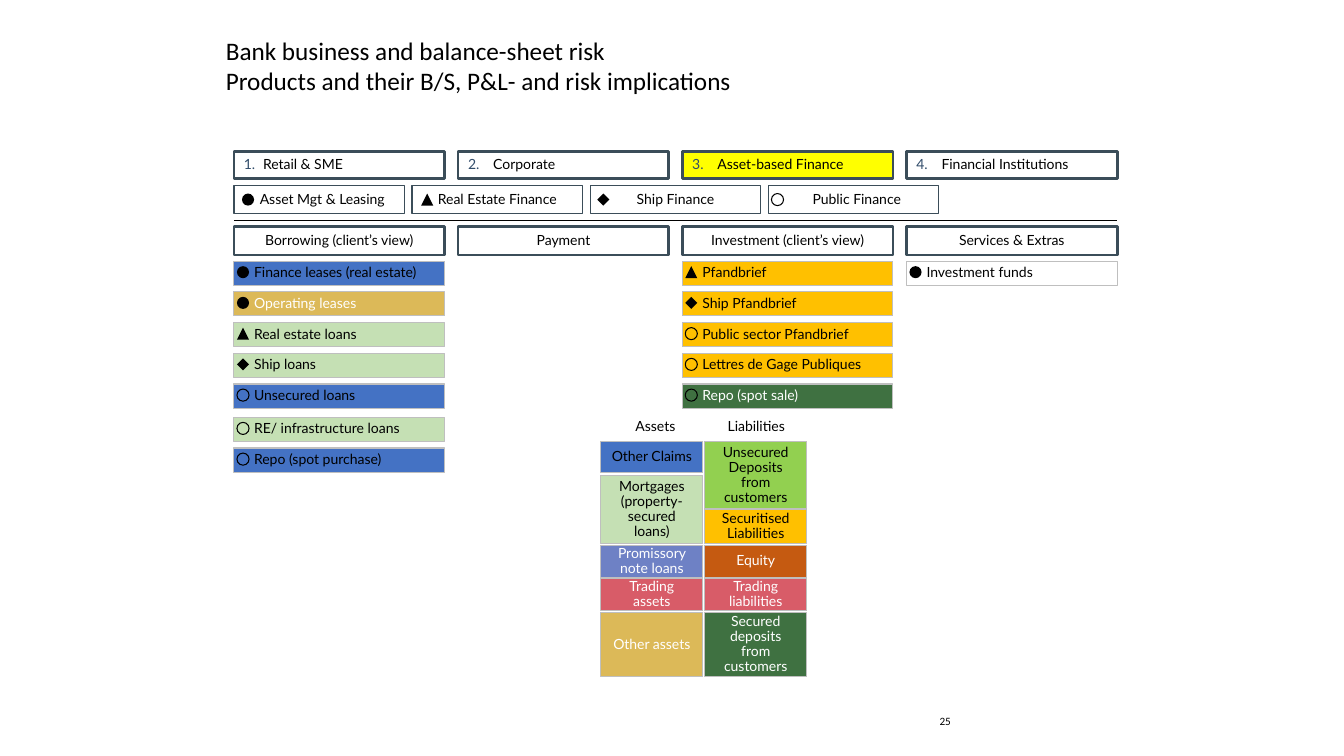
from dataclasses import dataclass

import pptx
import pptx.dml.color
import pptx.enum.shapes
import pptx.enum.text
import pptx.util
from pptx.util import Inches
from lxml import etree

SHAPE = pptx.enum.shapes.MSO_SHAPE
ALIGN = pptx.enum.text.PP_ALIGN
ANCHOR = pptx.enum.text.MSO_ANCHOR
A = "{http://schemas.openxmlformats.org/drawingml/2006/main}"


@dataclass(frozen=True)
class Theme:
    title_font: str = "Calibri"
    font: str = "Lato"
    title_size: int = 18
    size: int = 10
    number_size: int = 8
    black: str = "000000"
    white: str = "FFFFFF"
    frame: str = "3B4D59"
    edge: str = "BFBFBF"
    numeral: str = "314C6A"
    active: str = "FFFF00"
    claims: str = "4472C4"
    mortgages: str = "C5E0B4"
    other: str = "DCB958"
    securitised: str = "FFC000"
    secured: str = "3F7141"
    unsecured: str = "92D050"
    equity: str = "C55A11"
    notes: str = "6E81C5"
    trading: str = "D85C68"


T = Theme()
LEFT, COL_W, COL_STEP = 2.32, 2.09, 2.2233
COLS = [LEFT + i * COL_STEP for i in range(4)]
WHITE_TEXT_ON = {T.other, T.secured, T.equity, T.notes, T.trading}
MARKS = {"circle": (SHAPE.OVAL, True), "ring": (SHAPE.OVAL, False),
         "triangle": (SHAPE.ISOSCELES_TRIANGLE, True), "diamond": (SHAPE.DIAMOND, True)}


def rgb(value):
    return pptx.dml.color.RGBColor.from_string(value)


def style_runs(tf, font, size, color):
    for p in tf.paragraphs:
        for r in p.runs:
            r.font.name = font
            r.font.size = pptx.util.Pt(size)
            r.font.color.rgb = rgb(color)


def add_box(s, kind, box, fill=None, line=None, width=0.75):
    sp = s.shapes.add_shape(kind, *map(Inches, box))
    sp.shadow.inherit = False
    if fill:
        sp.fill.solid()
        sp.fill.fore_color.rgb = rgb(fill)
    else:
        sp.fill.background()
    if line:
        sp.line.color.rgb = rgb(line)
        sp.line.width = pptx.util.Pt(width)
    else:
        sp.line.fill.background()
    return sp


def add_label(sp, text, insets, align):
    tf = sp.text_frame
    tf.word_wrap = True
    tf.vertical_anchor = ANCHOR.MIDDLE
    (tf.margin_left, tf.margin_top,
     tf.margin_right, tf.margin_bottom) = map(Inches, insets)
    tf.text = text
    p = tf.paragraphs[0]
    p.alignment = align
    p.line_spacing = 0.9
    filled = sp.fill.type == pptx.enum.dml.MSO_FILL.SOLID
    light = filled and str(sp.fill.fore_color.rgb) in WHITE_TEXT_ON
    style_runs(tf, T.font, T.size, T.white if light else T.black)
    return p


def add_banner(s, box, text, fill=T.white, line=T.frame, width=2,
               insets=(0.1, 0.05, 0.1, 0.05), align=ALIGN.CENTER):
    """Heading on a chevron whose point is flattened."""
    sp = add_box(s, SHAPE.CHEVRON, box, fill, line, width)
    sp.adjustments[0] = 0
    return add_label(sp, text, insets, align)


def add_number(p, number, indent):
    pPr = p._p.get_or_add_pPr()
    pPr.set("marL", str(Inches(indent)))
    pPr.set("indent", str(-Inches(indent)))
    color = etree.SubElement(pPr, A + "buClr")
    etree.SubElement(color, A + "srgbClr", val=T.numeral)
    etree.SubElement(pPr, A + "buAutoNum", type="arabicPeriod", startAt=str(number))


def add_mark(s, left, top, mark):
    kind, solid = MARKS[mark]
    add_box(s, kind, (left, top, 0.12, 0.12),
            T.black if solid else None, None if solid else T.black)


def add_title(s, box, text):
    title = s.shapes.title
    title.left, title.top, title.width, title.height = map(Inches, box)
    tf = title.text_frame
    tf.word_wrap = True
    tf.auto_size = pptx.enum.text.MSO_AUTO_SIZE.NONE
    tf.vertical_anchor = ANCHOR.TOP
    tf.text = text
    tf.paragraphs[0].alignment = ALIGN.LEFT
    style_runs(tf, T.title_font, T.title_size, T.black)


def add_page_number(s, box, text):
    tf = s.shapes.add_textbox(*map(Inches, box)).text_frame
    tf.word_wrap = True
    tf.vertical_anchor = ANCHOR.MIDDLE
    tf.text = text
    tf.paragraphs[0].alignment = ALIGN.RIGHT
    style_runs(tf, T.title_font, T.number_size, T.black)


def add_client_groups(s, top):
    groups = [("Retail & SME", None, 0.19), ("Corporate", None, 0.25),
              ("Asset-based Finance", T.active, 0.25),
              ("Financial Institutions", T.white, 0.25)]
    for number, (left, (text, fill, indent)) in enumerate(zip(COLS, groups), 1):
        p = add_banner(s, (left, top, COL_W, 0.27), text, fill, align=ALIGN.LEFT)
        add_number(p, number, indent)


def add_segments(s, top):
    segments = [("Asset Mgt & Leasing", "circle", 0.08, 0.16),
                ("Real Estate Finance", "triangle", 0.09, 0.1),
                ("Ship Finance", "diamond", 0.07, 0.1),
                ("Public Finance", "ring", 0.03, 0.16)]
    for i, (text, mark, offset, inset) in enumerate(segments):
        left = LEFT + i * 1.767
        add_banner(s, (left, top, 1.69, 0.28), text, width=1,
                   insets=(inset, 0.04, 0.1, 0.04))
        add_mark(s, left + offset, top + 0.08, mark)


def add_rule(s, top):
    line = s.shapes.add_connector(pptx.enum.shapes.MSO_CONNECTOR.STRAIGHT, Inches(LEFT),
                                  Inches(top), Inches(COLS[-1] + COL_W), Inches(top))
    line.line.color.rgb = rgb(T.black)
    line.line.width = pptx.util.Pt(1)
    etree.SubElement(line._element.spPr, A + "effectLst")


def add_products(s, left, top, products):
    for i, (text, mark, fill) in enumerate(products):
        y = top + i * 0.305
        sp = add_box(s, SHAPE.RECTANGLE, (left, y, COL_W, 0.24), fill, T.edge)
        add_label(sp, text, (0.2, 0.08, 0.04, 0.08), ALIGN.LEFT)
        add_mark(s, left + 0.03, y + 0.05, mark)


def add_balance_side(s, left, top, heading, heading_left, items):
    add_banner(s, (heading_left, top, 1.02, 0.28), heading, line=None)
    for text, offset, height, fill in items:
        sp = add_box(s, SHAPE.RECTANGLE, (left, top + offset, 1.01, height), fill, T.edge)
        add_label(sp, text, (0.08,) * 4, ALIGN.CENTER)


def main():
    prs = pptx.Presentation()
    prs.slide_width, prs.slide_height = Inches(13.33), Inches(7.5)
    s = prs.slides.add_slide(prs.slide_layouts[5])
    add_title(s, (2.14, 0.3, 9.53, 0.81), "Bank business and balance-sheet risk\v"
              "Products and their B/S, P&L- and risk implications")
    add_client_groups(s, 1.5)
    add_segments(s, 1.84)
    add_rule(s, 2.19)
    headings = ["Borrowing (client’s view)", "Payment",
                "Investment (client’s view)", "Services & Extras"]
    for left, text in zip(COLS, headings):
        add_banner(s, (left, 2.25, COL_W, 0.28), text)
    add_products(s, COLS[0], 2.59, [
        ("Finance leases (real estate)", "circle", T.claims),
        ("Operating leases", "circle", T.other),
        ("Real estate loans", "triangle", T.mortgages),
        ("Ship loans", "diamond", T.mortgages), ("Unsecured loans", "ring", T.claims)])
    add_products(s, COLS[0], 4.14, [("RE/ infrastructure loans", "ring", T.mortgages),
                                    ("Repo (spot purchase)", "ring", T.claims)])
    add_products(s, COLS[2], 2.59, [
        ("Pfandbrief", "triangle", T.securitised),
        ("Ship Pfandbrief", "diamond", T.securitised),
        ("Public sector Pfandbrief", "ring", T.securitised),
        ("Lettres de Gage Publiques", "ring", T.securitised),
        ("Repo (spot sale)", "ring", T.secured)])
    add_products(s, COLS[3], 2.59, [("Investment funds", "circle", None)])
    add_balance_side(s, 5.96, 4.1, "Assets", 5.99, [
        ("Other Claims", 0.28, 0.31, T.claims),
        ("Mortgages (property-secured loans)", 0.62, 0.67, T.mortgages),
        ("Promissory note loans", 1.31, 0.32, T.notes),
        ("Trading\vassets", 1.64, 0.32, T.trading), ("Other assets", 1.98, 0.63, T.other)])
    add_balance_side(s, 6.99, 4.1, "Liabilities", 6.99, [
        ("Unsecured Deposits from\vcustomers", 0.28, 0.67, T.unsecured),
        ("Securitised Liabilities", 0.95, 0.34, T.securitised),
        ("Equity", 1.31, 0.32, T.equity), ("Trading\vliabilities", 1.64, 0.32, T.trading),
        ("Secured deposits\vfrom customers", 1.98, 0.63, T.secured)])
    add_page_number(s, (9.07, 6.95, 0.46, 0.4), "25")
    prs.save("out.pptx")


if __name__ == "__main__":
    main()
